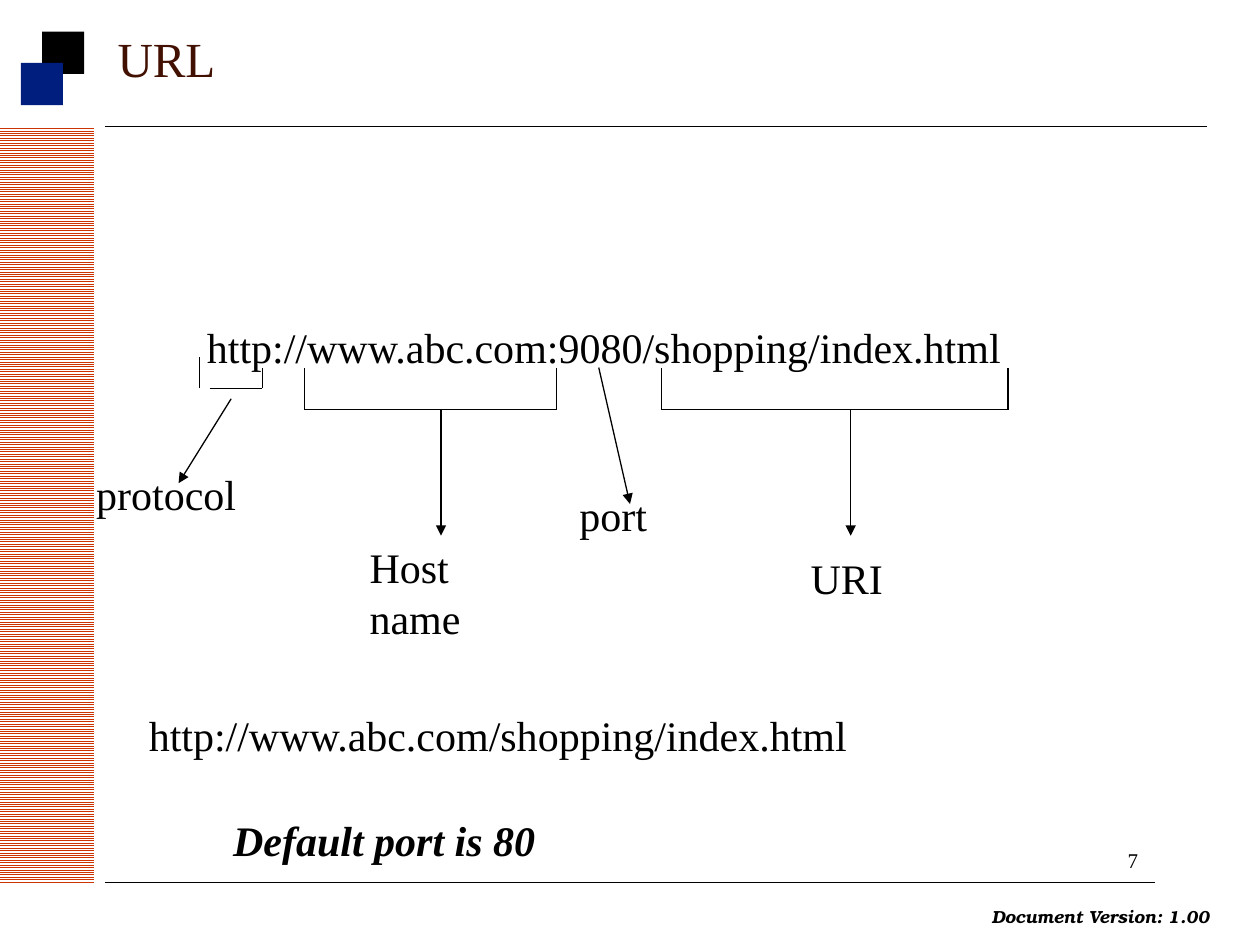
"""Build a slide that explains the parts of a URL."""
from lxml.etree import SubElement
from pptx import Presentation
from pptx.dml.color import RGBColor
from pptx.enum.dml import MSO_PATTERN
from pptx.enum.shapes import MSO_CONNECTOR, MSO_SHAPE
from pptx.enum.text import MSO_ANCHOR, PP_ALIGN
from pptx.oxml.ns import qn
from pptx.util import Cm, Pt

SERIF = "Times New Roman"
BLACK = "000000"
SIDEBAR = (-6.67, 9.21, 15.24, 1.9)
SQUARES = [((0.85, 0.64, 0.85, 0.85), BLACK), ((0.42, 1.27, 0.85, 0.85), "001E7E")]
RULES = [(2.12, 2.54, 24.34, 2.54), (2.12, 17.78, 23.28, 17.78)]

TITLE = ("URL", (2.12, 0, 22.86, 2.34))
FULL_URL = ("http://www.abc.com:9080/shopping/index.html", (0.64, 6.35, 23.07, 1.27))
LABELS = [
    ("protocol", (1.69, 9.31, 4.02, 1.27)),
    ("Host name", (7.2, 10.8, 4.02, 2.29)),
    ("port", (11.43, 9.74, 2.96, 1.27)),
    ("URI", (16.09, 11.01, 4.66, 1.27)),
    ("http://www.abc.com/shopping/index.html", (2.75, 14.18, 18.42, 1.27)),
]
DEFAULT_PORT = ("Default port is 80", (4.45, 16.3, 11.43, 1.27))
VERSION = ("Document Version: 1.00", (19.74, 18.14, 4.93, 0.69))
PAGE = ("7", (22.48, 16.97, 1.02, 0.76))

URL_FOOT, BRACKET_FOOT, ARROW_TIP = 7.41, 8.26, 10.8
PROTOCOL_BRACKET = [
    (4.23, 7.83, 5.29, 7.83),
    (4.02, 7.83, 4.02, 7.2),
    (5.29, 7.83, 5.29, URL_FOOT),
]
BRACKETS = [(6.14, 11.22, 8.89), (13.34, 20.32, 17.15)]
SLANTED_ARROWS = [(4.66, 8.04, 3.6, 9.74), (12.07, URL_FOOT, 12.7, 10.16)]


def color(code):
    return RGBColor.from_string(code)


def add_block(slide, place):
    block = slide.shapes.add_shape(MSO_SHAPE.RECTANGLE, *map(Cm, place))
    block.shadow.inherit = False
    block.line.fill.background()
    return block


def add_line(slide, ends, width=0.75, arrow=False):
    line = slide.shapes.add_connector(MSO_CONNECTOR.STRAIGHT, *map(Cm, ends))
    line.line.color.rgb = color(BLACK)
    line.line.width = Pt(width)
    if arrow:
        SubElement(line.line._get_or_add_ln(), qn("a:tailEnd"), type="triangle")
    SubElement(line._element.spPr, qn("a:effectLst"))


def add_text(slide, words, place, size=24, ink=BLACK, font=SERIF, strong=False,
             align=PP_ALIGN.LEFT, anchor=MSO_ANCHOR.TOP, wrap=True):
    frame = slide.shapes.add_textbox(*map(Cm, place)).text_frame
    frame.word_wrap = wrap
    frame.vertical_anchor = anchor
    paragraph = frame.paragraphs[0]
    paragraph.alignment = align
    run = paragraph.add_run()
    run.text = words
    run.font.name = font
    run.font.size = Pt(size)
    run.font.bold = run.font.italic = strong
    run.font.color.rgb = color(ink)


def add_frame(slide):
    sidebar = add_block(slide, SIDEBAR)
    sidebar.rotation = 270
    sidebar.fill.patterned()
    sidebar.fill.pattern = MSO_PATTERN.LIGHT_HORIZONTAL
    sidebar.fill.fore_color.rgb = color("CC3300")
    sidebar.fill.back_color.rgb = color("FFFFFF")
    for place, ink in SQUARES:
        square = add_block(slide, place)
        square.fill.solid()
        square.fill.fore_color.rgb = color(ink)
    for ends in RULES:
        add_line(slide, ends, width=0.25)
    add_text(slide, *VERSION, size=10, font="TeX Gyre Bonum", strong=True, wrap=False)
    add_text(slide, *PAGE, size=12, wrap=False)


def add_diagram(slide):
    add_text(slide, *FULL_URL, align=PP_ALIGN.CENTER)
    for ends in PROTOCOL_BRACKET:
        add_line(slide, ends)
    for left, right, stem in BRACKETS:
        add_line(slide, (left, BRACKET_FOOT, right, BRACKET_FOOT))
        for side in (left, right):
            add_line(slide, (side, BRACKET_FOOT, side, URL_FOOT))
        add_line(slide, (stem, BRACKET_FOOT, stem, ARROW_TIP), arrow=True)
    for ends in SLANTED_ARROWS:
        add_line(slide, ends, arrow=True)
    for words, place in LABELS:
        add_text(slide, words, place)
    add_text(slide, *DEFAULT_PORT, strong=True)


def main():
    deck = Presentation()
    deck.slide_width, deck.slide_height = Cm(25.4), Cm(19.05)
    slide = deck.slides.add_slide(deck.slide_layouts[6])
    add_frame(slide)
    add_text(slide, *TITLE, size=28, ink="421000", anchor=MSO_ANCHOR.MIDDLE)
    add_diagram(slide)
    deck.save("out.pptx")


if __name__ == "__main__":
    main()
